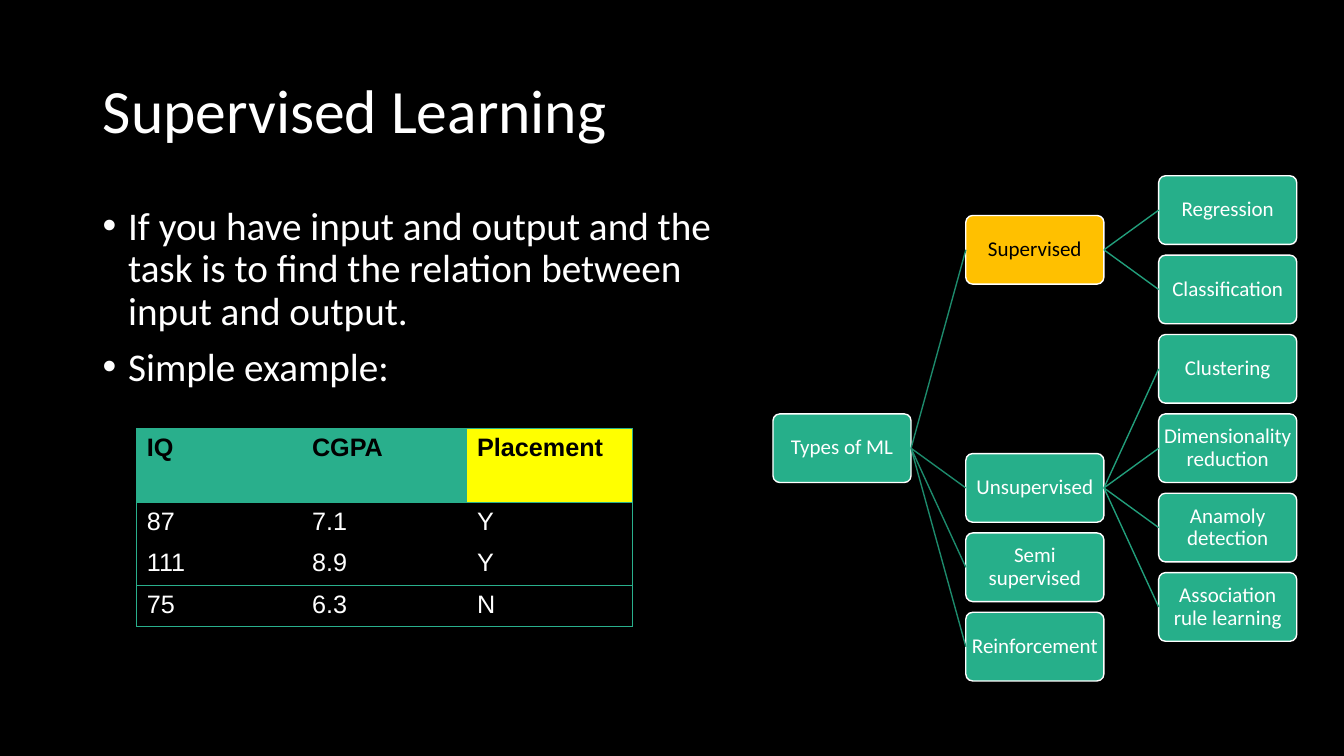
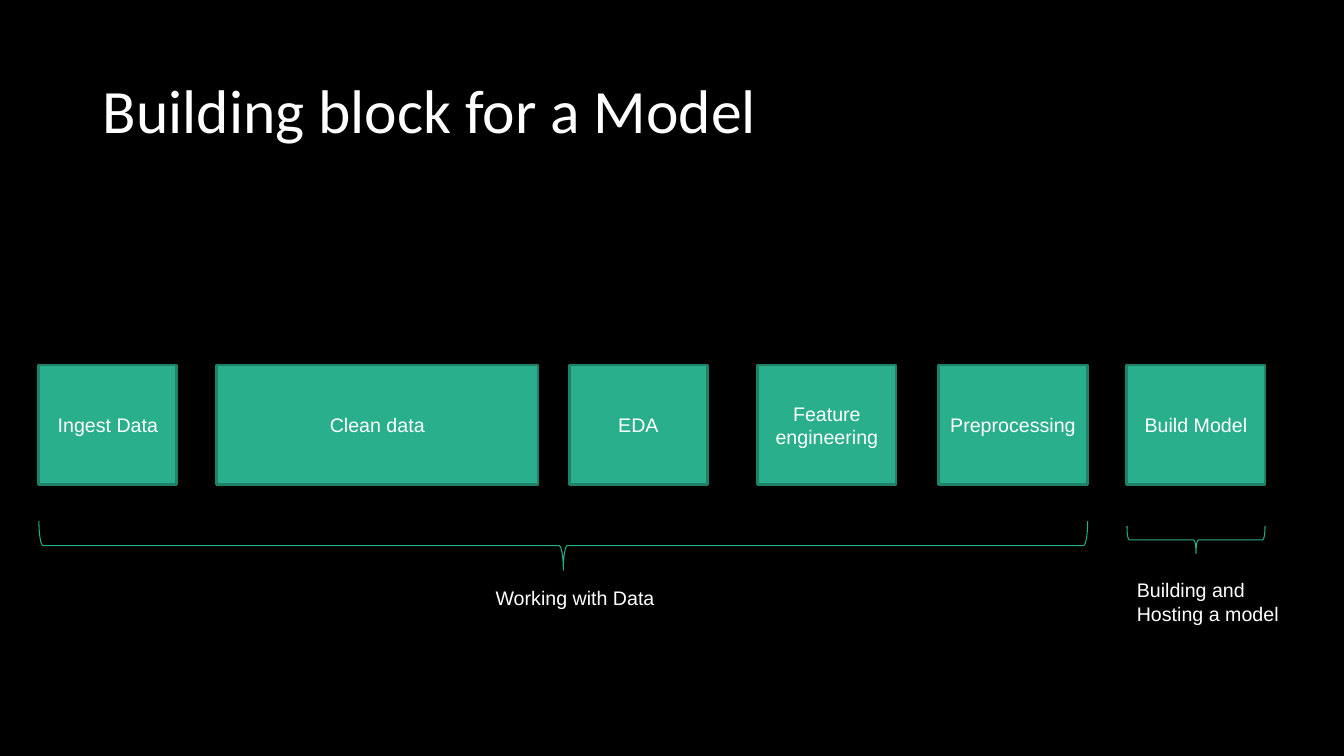
from dataclasses import dataclass

from lxml import etree
from pptx import Presentation
from pptx.dml.color import RGBColor
from pptx.enum.shapes import MSO_CONNECTOR, MSO_SHAPE
from pptx.enum.text import MSO_ANCHOR, PP_ALIGN
from pptx.oxml.ns import qn
from pptx.util import Cm, Pt

ROUNDED, RECTANGLE = MSO_SHAPE.ROUNDED_RECTANGLE, MSO_SHAPE.RECTANGLE
BRACE, STRAIGHT = MSO_SHAPE.RIGHT_BRACE, MSO_CONNECTOR.STRAIGHT
TOP, MIDDLE = MSO_ANCHOR.TOP, MSO_ANCHOR.MIDDLE
LEFT, CENTER = PP_ALIGN.LEFT, PP_ALIGN.CENTER
LEFT_SITE, RIGHT_SITE = 1, 3


@dataclass(frozen=True)
class Theme:
    background: str = "000000"
    light: str = "FFFFFF"
    dark: str = "000000"
    green: str = "29AF8C"
    green_edge: str = "1E8168"
    node: str = "26AF8A"
    branches: tuple[str, ...] = ("1D8A6C", "229E7B")
    brace: str = "25AE8A"
    highlight: str = "FFC000"
    target: str = "FFFF00"
    heading_font: str = "Calibri"
    plain_font: str = "Arial"
    title_size: int = 44
    body_size: int = 28
    table_size: int = 18
    node_size: int = 15
    step_size: int = 14
    tight: float = 0.9


THEME = Theme()


@dataclass(frozen=True)
class Box:
    """Place on the slide, in centimetres."""
    left: float
    top: float
    width: float
    height: float

    def emu(self) -> tuple:
        return Cm(self.left), Cm(self.top), Cm(self.width), Cm(self.height)


@dataclass(frozen=True)
class TextStyle:
    size: int
    font: str = THEME.plain_font
    color: str = THEME.light
    bold: bool = False
    align: PP_ALIGN = LEFT
    anchor: MSO_ANCHOR = TOP
    spacing: float = 1.0


@dataclass(frozen=True)
class Topic:
    label: str
    row: float
    children: tuple["Topic", ...] = ()
    fill: str = THEME.node
    color: str = THEME.light


@dataclass(frozen=True)
class Step:
    label: str
    left: float
    width: float = 3.48


@dataclass(frozen=True)
class Phase:
    label: str
    first: int
    last: int
    brace_top: float
    depth: float
    label_box: Box


TITLE_STYLE = TextStyle(THEME.title_size, THEME.heading_font,
                        anchor=MIDDLE, spacing=THEME.tight)
BODY_STYLE = TextStyle(THEME.body_size, THEME.heading_font, spacing=THEME.tight)
STEP_STYLE = TextStyle(THEME.step_size, align=CENTER, anchor=MIDDLE)
LABEL_STYLE = TextStyle(THEME.step_size)

TITLE_BOX = Box(2.34, 1.02, 29.21, 3.68)

# Slide 1 content
POINTS = ("If you have input and output and the task is to find the relation "
          "between input and output.", "Simple example:")
RECORDS = (("IQ", "CGPA", "Placement"), ("87", "7.1", "Y"),
           ("111", "8.9", "Y"), ("75", "6.3", "N"))
RECORDS_BOX = Box(3.45, 10.8, 12.48, 4.99)
HEADER_HEIGHT, RECORD_HEIGHT = 1.87, 1.04
RULED_ROWS = (0, 1, 3, 4)

NODE_WIDTH, NODE_HEIGHT = 3.48, 1.73
TREE_LEFT, TREE_TOP, COLUMN_PITCH, ROW_PITCH = 19.48, 4.43, 4.86, 2.0
ML_TYPES = Topic("Types of ML", 3, (
    Topic("Supervised", 0.5, (
        Topic("Regression", 0),
        Topic("Classification", 1),
    ), THEME.highlight, THEME.dark),
    Topic("Unsupervised", 3.5, (
        Topic("Clustering", 2),
        Topic("Dimensionality reduction", 3),
        Topic("Anamoly detection", 4),
        Topic("Association rule learning", 5),
    )),
    Topic("Semi supervised", 4.5),
    Topic("Reinforcement", 5.5),
))

# Slide 2 content
STEP_TOP, STEP_HEIGHT = 9.2, 3.02
STEPS = (Step("Ingest Data", 0.98), Step("Clean data", 5.46, 8.1),
         Step("EDA", 14.35), Step("Feature engineering", 19.1),
         Step("Preprocessing", 23.65, 3.76), Step("Build Model", 28.4))
PHASES = (
    Phase("Working with Data", 0, 4, 13.13, 1.24, Box(12.24, 14.63, 4.7, 0.86)),
    Phase("Building and Hosting a model", 5, 5, 13.26, 0.69,
          Box(28.4, 14.45, 4.42, 1.45)),
)


def rgb(color: str) -> RGBColor:
    return RGBColor.from_string(color)


def write(frame, text: str, style: TextStyle) -> None:
    frame.word_wrap = True
    frame.vertical_anchor = style.anchor
    frame.text = text
    for paragraph in frame.paragraphs:
        paragraph.alignment = style.align
        paragraph.line_spacing = style.spacing
        for run in paragraph.runs:
            run.font.name = style.font
            run.font.size = Pt(style.size)
            run.font.bold = style.bold
            run.font.color.rgb = rgb(style.color)


def add_text(slide, box: Box, text: str, style: TextStyle):
    frame = slide.shapes.add_textbox(*box.emu()).text_frame
    write(frame, text, style)
    return frame


def add_panel(slide, kind: MSO_SHAPE, box: Box, fill: str, edge: str, weight: float):
    panel = slide.shapes.add_shape(kind, *box.emu())
    panel.shadow.inherit = False
    panel.fill.solid()
    panel.fill.fore_color.rgb = rgb(fill)
    panel.line.color.rgb = rgb(edge)
    panel.line.width = Pt(weight)
    return panel


def add_titled_slide(deck, title: str):
    slide = deck.slides.add_slide(deck.slide_layouts[6])
    add_text(slide, TITLE_BOX, title, TITLE_STYLE)
    return slide


def add_points(slide, box: Box, points: tuple[str, ...]) -> None:
    frame = add_text(slide, box, "\n".join(points), BODY_STYLE)
    for index, paragraph in enumerate(frame.paragraphs):
        properties = paragraph._p.get_or_add_pPr()
        properties.set("marL", str(Cm(0.64)))
        properties.set("indent", str(-Cm(0.64)))
        etree.SubElement(properties, qn("a:buFont"), typeface="Arial")
        etree.SubElement(properties, qn("a:buChar"), char="•")
        if index:
            paragraph.space_before = Pt(10)


def set_border(cell, side: str, visible: bool) -> None:
    border = etree.SubElement(cell._tc.get_or_add_tcPr(), qn(f"a:ln{side}"),
                              w=str(Pt(0.75)))
    if visible:
        fill = etree.SubElement(border, qn("a:solidFill"))
        etree.SubElement(fill, qn("a:srgbClr"), val=THEME.green)
    else:
        etree.SubElement(border, qn("a:noFill"))


def add_records(slide) -> None:
    rows, columns = len(RECORDS), len(RECORDS[0])
    table = slide.shapes.add_table(rows, columns, *RECORDS_BOX.emu()).table
    table.first_row = table.horz_banding = False
    for column in table.columns:
        column.width = Cm(RECORDS_BOX.width / columns)
    for r, record in enumerate(RECORDS):
        header = r == 0
        table.rows[r].height = Cm(HEADER_HEIGHT if header else RECORD_HEIGHT)
        style = TextStyle(THEME.table_size, bold=header,
                          color=THEME.dark if header else THEME.light)
        for c, value in enumerate(record):
            cell = table.cell(r, c)
            write(cell.text_frame, value, style)
            set_border(cell, "L", c == 0)
            set_border(cell, "R", c == columns - 1)
            set_border(cell, "T", r in RULED_ROWS)
            set_border(cell, "B", r + 1 in RULED_ROWS)
            if header:
                cell.fill.solid()
                last = c == columns - 1
                cell.fill.fore_color.rgb = rgb(THEME.target if last else THEME.green)
            else:
                cell.fill.background()


def add_branch(slide, parent, child, color: str) -> None:
    branch = slide.shapes.add_connector(STRAIGHT, 0, 0, 0, 0)
    branch.begin_connect(parent, RIGHT_SITE)
    branch.end_connect(child, LEFT_SITE)
    branch.line.color.rgb = rgb(color)
    branch.line.width = Pt(1)
    etree.SubElement(branch._element.spPr, qn("a:effectLst"))


def add_topic(slide, topic: Topic, level: int = 0):
    """Draw a topic with everything below it, and return its node."""
    box = Box(TREE_LEFT + level * COLUMN_PITCH, TREE_TOP + topic.row * ROW_PITCH,
              NODE_WIDTH, NODE_HEIGHT)
    node = add_panel(slide, ROUNDED, box, topic.fill, THEME.light, 1)
    node.adjustments[0] = 0.1
    frame = node.text_frame
    frame.margin_left = frame.margin_right = Cm(0.03)
    frame.margin_top = frame.margin_bottom = Cm(0.03)
    write(frame, topic.label,
          TextStyle(THEME.node_size, THEME.heading_font, topic.color,
                    align=CENTER, anchor=MIDDLE, spacing=THEME.tight))
    for child in topic.children:
        add_branch(slide, node, add_topic(slide, child, level + 1),
                   THEME.branches[level])
    return node


def add_phase(slide, phase: Phase) -> None:
    left = STEPS[phase.first].left
    span = STEPS[phase.last].left + STEPS[phase.last].width - left
    # The brace is upright before its quarter turn about the centre
    upright = Box(left + (span - phase.depth) / 2,
                  phase.brace_top + (phase.depth - span) / 2, phase.depth, span)
    brace = slide.shapes.add_shape(BRACE, *upright.emu())
    brace.rotation = 90
    brace.shadow.inherit = False
    brace.fill.background()
    brace.line.color.rgb = rgb(THEME.brace)
    brace.line.width = Pt(0.75)
    add_text(slide, phase.label_box, phase.label, LABEL_STYLE)


def build_supervised(deck) -> None:
    slide = add_titled_slide(deck, "Supervised Learning")
    add_points(slide, Box(2.34, 5.08, 16.89, 12.09), POINTS)
    add_topic(slide, ML_TYPES)
    add_records(slide)


def build_blocks(deck) -> None:
    slide = add_titled_slide(deck, "Building block for a Model")
    for step in STEPS:
        box = Box(step.left, STEP_TOP, step.width, STEP_HEIGHT)
        block = add_panel(slide, RECTANGLE, box, THEME.green, THEME.green_edge, 2)
        write(block.text_frame, step.label, STEP_STYLE)
    for phase in PHASES:
        add_phase(slide, phase)


def main() -> None:
    deck = Presentation()
    deck.slide_width, deck.slide_height = Cm(33.87), Cm(19.05)
    backdrop = deck.slide_master.background.fill
    backdrop.solid()
    backdrop.fore_color.rgb = rgb(THEME.background)
    build_supervised(deck)
    build_blocks(deck)
    deck.save("out.pptx")


if __name__ == "__main__":
    main()
